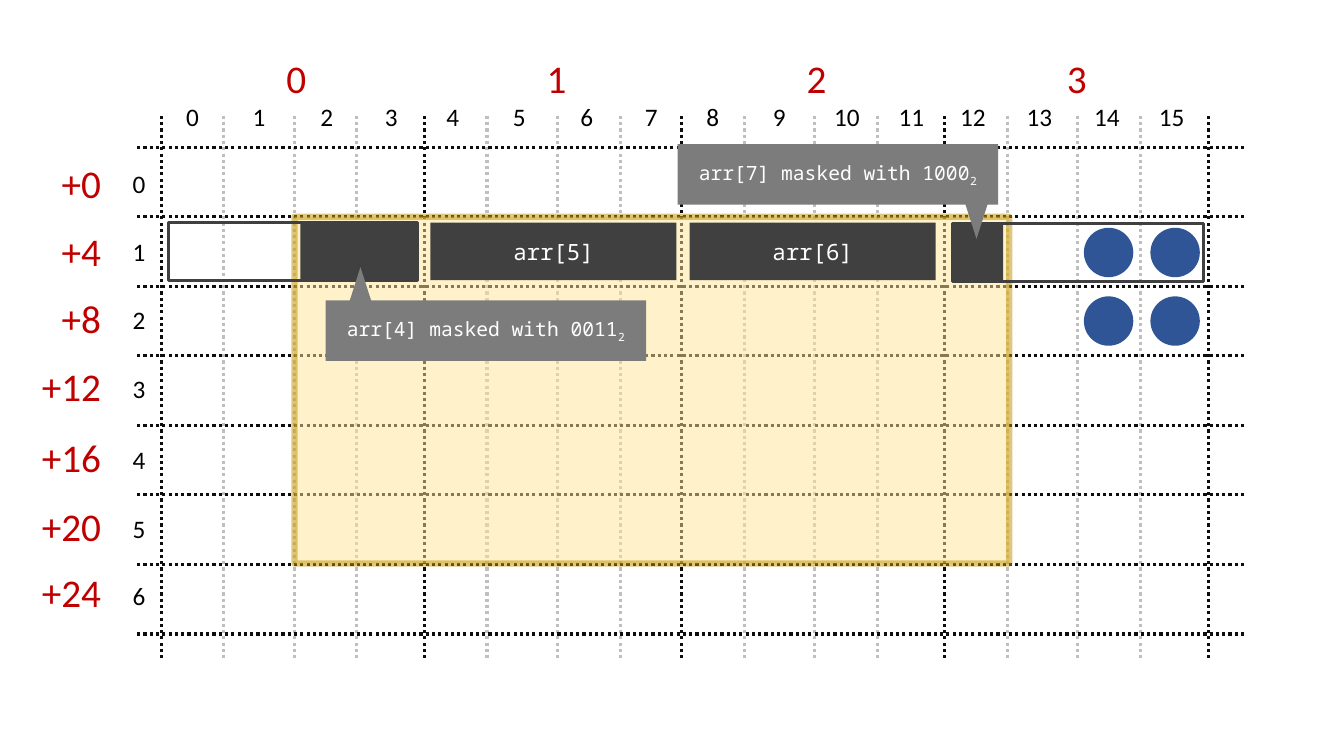
"""Draw a memory grid with masked array loads."""
from dataclasses import dataclass

from lxml import etree
from pptx import Presentation
from pptx.dml.color import RGBColor
from pptx.enum.dml import MSO_LINE
from pptx.enum.shapes import MSO_CONNECTOR, MSO_SHAPE
from pptx.enum.text import MSO_ANCHOR, MSO_AUTO_SIZE, PP_ALIGN
from pptx.oxml.ns import qn
from pptx.util import Inches, Pt

RECT, OVAL, WEDGE = MSO_SHAPE.RECTANGLE, MSO_SHAPE.OVAL, MSO_SHAPE.ISOSCELES_TRIANGLE
LINE, DOTS = MSO_CONNECTOR.STRAIGHT, MSO_LINE.ROUND_DOT
MID, RIGHT, CENTRE = MSO_ANCHOR.MIDDLE, PP_ALIGN.RIGHT, PP_ALIGN.CENTER
GROW = MSO_AUTO_SIZE.SHAPE_TO_FIT_TEXT

COLORS = {
    "black": "000000", "rule": "0D0D0D", "pale": "BFBFBF", "red": "C00000",
    "white": "FFFFFF", "dark": "404040", "gray": "7C7C7C", "blue": "2F5597",
    "sand": "FFE699", "gold": "BF9000",
}
FORMATS = {
    "index": {"size": Pt(18), "name": "Calibri"},
    "byte": {"size": Pt(28), "name": "Calibri"},
    "item": {"size": Pt(16), "name": "Noto Sans Mono"},
    "note": {"size": Pt(14), "name": "Noto Sans Mono"},
}
GROUPS = [1.6, 4.21, 6.76, 9.37]
STEPS = [0, 0.62, 1.32, 1.94]
ROW_TOP, ROW_GAP = 1.46, 0.69
LABEL_GAP = 2.58
INDEX_TOPS = [1.62, 2.3, 2.97, 3.65, 4.36, 5.04, 5.71]
BYTE_TOPS = [1.53, 2.21, 2.87, 3.55, 4.25, 4.93, 5.59]


@dataclass
class Box:
    left: float
    top: float
    width: float
    height: float
    fill: str = ""
    line: str = ""
    weight: float = 2.25
    alpha: int = 100
    kind: int = RECT
    turn: int = 0
    text: str = ""
    style: str = "item"
    sub: str = ""


@dataclass
class Label:
    text: str
    left: float
    top: float
    width: float
    height: float
    style: str
    color: str
    align: int = CENTRE


def paint(fill, color: str, alpha: int = 100) -> None:
    if not color:
        fill.background()
        return
    fill.solid()
    fill.fore_color.rgb = RGBColor.from_string(COLORS[color])
    if alpha < 100:
        node = fill._xPr.find(qn("a:solidFill"))[0]
        etree.SubElement(node, qn("a:alpha"), val=str(alpha * 1000))


def write(para, text: str, style: str, color: str, align: int):
    para.alignment = align
    run = para.add_run()
    run.text = text
    for key, value in FORMATS[style].items():
        setattr(run.font, key, value)
    run.font.color.rgb = RGBColor.from_string(COLORS[color])
    return run


def draw_rule(slide, x1: float, y1: float, x2: float, y2: float, color: str) -> None:
    rule = slide.shapes.add_connector(LINE, Inches(x1), Inches(y1), Inches(x2), Inches(y2))
    paint(rule.line.fill, color)
    rule.line.width = Pt(2.25)
    rule.line.dash_style = DOTS
    etree.SubElement(rule._element.spPr, qn("a:effectLst"))


def draw_label(slide, label: Label) -> None:
    shape = slide.shapes.add_textbox(
        Inches(label.left), Inches(label.top), Inches(label.width), Inches(label.height))
    frame = shape.text_frame
    frame.word_wrap = False
    frame.auto_size = GROW
    write(frame.paragraphs[0], label.text, label.style, label.color, label.align)


def draw_box(slide, box: Box) -> None:
    shape = slide.shapes.add_shape(
        box.kind, Inches(box.left), Inches(box.top), Inches(box.width), Inches(box.height))
    shape.shadow.inherit = False
    shape.rotation = box.turn
    paint(shape.fill, box.fill, box.alpha)
    paint(shape.line.fill, box.line, box.alpha)
    if box.line:
        shape.line.width = Pt(box.weight)
    if box.text:
        frame = shape.text_frame
        frame.word_wrap = True
        frame.vertical_anchor = MID
        para = frame.paragraphs[0]
        write(para, box.text, box.style, "white", CENTRE)
        if box.sub:
            run = write(para, box.sub, box.style, "white", CENTRE)
            run._r.get_or_add_rPr().set("baseline", "-25000")


def draw_grid(slide) -> None:
    for start in GROUPS:
        for step in STEPS:
            x = start + step
            draw_rule(slide, x, 1.15, x, 6.53, "pale" if step else "rule")
    draw_rule(slide, 11.99, 1.15, 11.99, 6.53, "rule")
    for row in range(8):
        y = ROW_TOP + row * ROW_GAP
        draw_rule(slide, 12.34, y, 1.33, y, "rule")


def list_labels() -> list[Label]:
    labels = []
    for group in range(4):
        shift = group * LABEL_GAP
        for place, step in enumerate([0, 0.66, 1.33, 1.97]):
            index = group * 4 + place
            width = 0.33 if index < 10 else 0.46
            left = 1.91 + shift + step - width / 2
            labels.append(Label(str(index), left, 0.96, width, 0.4, "index", "black"))
        labels.append(Label(str(group), 2.74 + shift, 0.49, 0.4, 0.57, "byte", "red"))
    for row, (top, high) in enumerate(zip(INDEX_TOPS, BYTE_TOPS)):
        width = 0.6 if row < 3 else 0.8
        labels += [
            Label(str(row), 1.21, top, 0.33, 0.4, "index", "black", RIGHT),
            Label(f"+{row * 4}", 1.1 - width, high, width, 0.57, "byte", "red", RIGHT),
        ]
    return labels


def list_boxes() -> list[Box]:
    items = [
        Box(4.27, 2.21, 2.44, 0.57, "dark", text="arr[5]"),
        Box(6.84, 2.21, 2.44, 0.57, "dark", text="arr[6]"),
        Box(1.67, 2.21, 2.47, 0.57, line="dark"),
        Box(2.98, 2.22, 1.17, 0.57, "dark"),
        Box(9.45, 2.22, 2.49, 0.57, line="dark"),
        Box(9.46, 2.22, 0.49, 0.57, "dark"),
    ]
    spots = [Box(x, y, 0.49, 0.49, "blue", kind=OVAL)
             for y in (2.26, 2.94) for x in (10.75, 11.41)]
    notes = [
        Box(3.23, 2.98, 3.18, 0.6, "gray", text="arr[4] masked with 0011", style="note", sub="2"),
        Box(3.45, 2.65, 0.25, 0.39, "gray", kind=WEDGE),
        Box(6.72, 1.43, 3.18, 0.6, "gray", text="arr[7] masked with 1000", style="note", sub="2"),
        Box(9.56, 1.98, 0.25, 0.39, "gray", kind=WEDGE, turn=180),
    ]
    return items + spots + notes


def main() -> None:
    deck = Presentation()
    deck.slide_width, deck.slide_height = Inches(13.33), Inches(7.5)
    slide = deck.slides.add_slide(deck.slide_layouts[6])
    draw_grid(slide)
    draw_box(slide, Box(2.92, 2.15, 7.09, 3.44, "sand", "gold", 4.5, 50))
    for label in list_labels():
        draw_label(slide, label)
    for box in list_boxes():
        draw_box(slide, box)
    deck.save("out.pptx")


if __name__ == "__main__":
    main()
